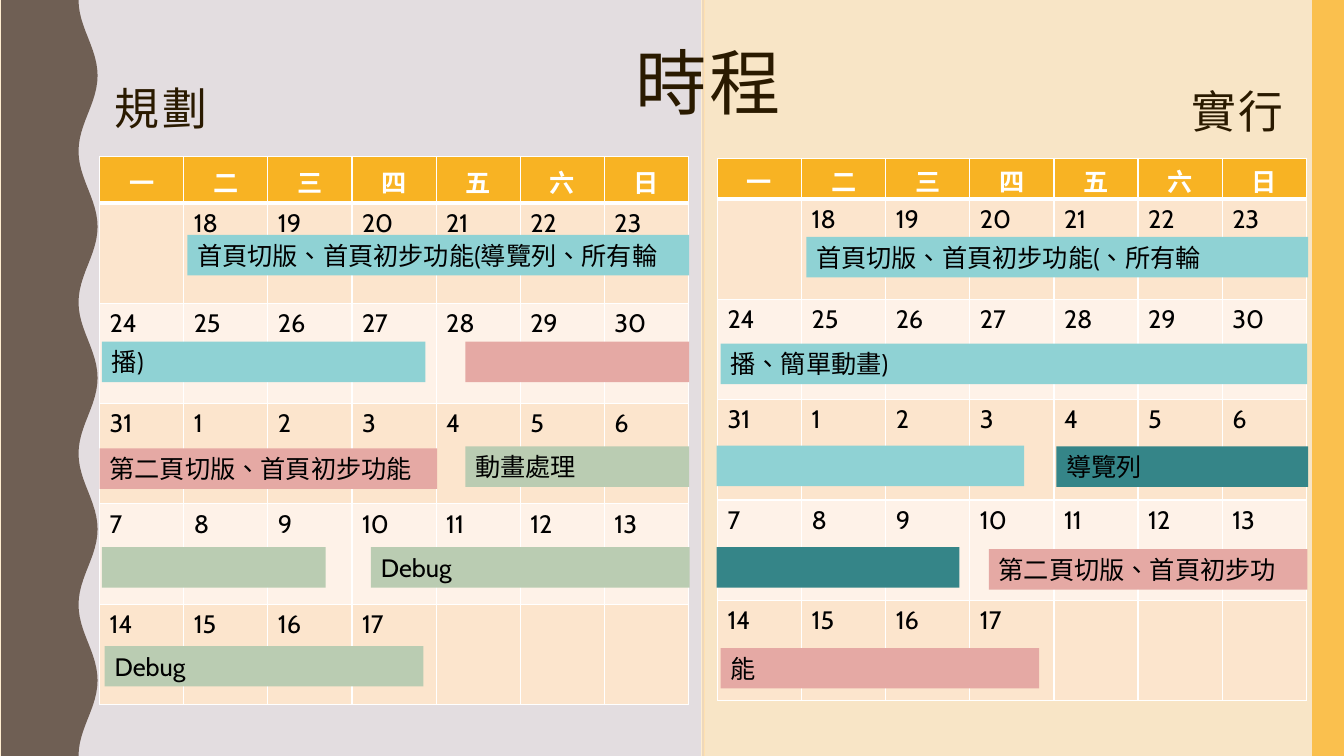
import math
from pptx import Presentation
from pptx import util as u
from pptx.dml.color import RGBColor
from pptx.enum import lang, shapes, text
from pptx.oxml import parse_xml
from pptx.oxml.ns import nsdecls

INK = RGBColor(0x2A, 0x1A, 0x00)
BLACK = RGBColor(0x00, 0x00, 0x00)
WHITE = RGBColor(0xFF, 0xFF, 0xFF)
PAPER = RGBColor(0xF3, 0xF3, 0xF2)
GOLD = RGBColor(0xF8, 0xB3, 0x23)
CREAM = RGBColor(0xFF, 0xED, 0xD0)
MAUVE = RGBColor(0xCF, 0xBF, 0xC9)
SAND = RGBColor(0xFF, 0xD2, 0x8A)
PEACH = RGBColor(0xFC, 0xE5, 0xCD)
PALE_PEACH = RGBColor(0xFE, 0xF2, 0xE8)
AQUA = RGBColor(0x8F, 0xD2, 0xD4)
TEAL = RGBColor(0x35, 0x85, 0x88)
ROSE = RGBColor(0xE5, 0xA9, 0xA4)
SAGE = RGBColor(0xBA, 0xCC, 0xB2)

WEEKDAYS = "一二三四五六日"
DAYS = [None, *range(18, 32), *range(1, 18), None, None, None]
DAY_WIDTH, WEEK_HEIGHT, BAR_HEIGHT = 2.12, 2.53, 1.02

# Task bars: left, top, width (cm), colour, label
PLANNED = [
    (4.72, 5.92, 12.65, AQUA, "首頁切版、首頁初步功能(導覽列、所有輪"),
    (2.57, 8.61, 8.15, AQUA, "播)"),
    (11.73, 8.61, 5.64, ROSE, ""),
    (2.51, 11.3, 8.51, ROSE, "第二頁切版、首頁初步功能"),
    (11.73, 11.25, 5.64, SAGE, "動畫處理"),
    (2.57, 13.79, 5.64, SAGE, ""),
    (9.35, 13.79, 8.03, SAGE, "Debug"),
    (2.64, 16.28, 8.03, SAGE, "Debug"),
]
ACTUAL = [
    (20.32, 5.97, 12.65, AQUA, "首頁切版、首頁初步功能(、所有輪"),
    (18.16, 8.66, 14.78, AQUA, "播、簡單動畫)"),
    (26.62, 11.25, 6.35, TEAL, "導覽列"),
    (24.92, 13.84, 8.03, ROSE, "第二頁切版、首頁初步功"),
    (18.16, 16.33, 8.03, ROSE, "能"),
    (18.06, 13.79, 6.12, TEAL, ""),
    (18.06, 11.23, 7.75, AQUA, ""),
]


def write(paragraph, words, size, colour, face="Cabin", bold=False):
    run = paragraph.add_run()
    run.text = words
    look = {"name": face, "size": u.Pt(size), "bold": bold,
            "language_id": lang.MSO_LANGUAGE_ID.TRADITIONAL_CHINESE}
    for key, value in look.items():
        setattr(run.font, key, value)
    run.font.color.rgb = colour
    return run


def paint(shape, colour, edge=None):
    shape.shadow.inherit = False
    shape.fill.solid()
    shape.fill.fore_color.rgb = colour
    if edge is None:
        shape.line.fill.background()
    else:
        shape.line.color.rgb = edge
        shape.line.width = u.Pt(1)


def add_block(slide, left, top, width, height, colour, edge=None):
    block = slide.shapes.add_shape(
        shapes.MSO_SHAPE.RECTANGLE, *map(u.Cm, (left, top, width, height)))
    paint(block, colour, edge)
    return block


def add_half(slide, left, top, width, height, colour):
    half = add_block(slide, left, top, width, height, colour, CREAM)
    tint = half.fill.fore_color._xFill[0]
    tint.append(parse_xml(f'<a:alpha {nsdecls("a")} val="42000"/>'))


def add_wave(slide):
    period, steps = 3.81, 120
    edge = []
    for step in range(steps + 1):
        y = 19.05 * step / steps
        x = 2.22 - 0.24 * math.cos(2 * math.pi * y / period)
        edge.append((u.Cm(x), u.Cm(y)))
    outline = slide.shapes.build_freeform(0, 0)
    outline.add_line_segments([*edge, (0, u.Cm(19.05))], close=True)
    paint(outline.convert_to_shape(), INK)


def set_heading(box, words, left, top, size):
    place = {"left": left, "top": top, "width": 4.55, "height": 2.31}
    for key, value in place.items():
        setattr(box, key, u.Cm(value))
    frame = box.text_frame
    frame.word_wrap = True
    frame.auto_size = text.MSO_AUTO_SIZE.NONE
    frame.vertical_anchor = text.MSO_ANCHOR.TOP
    line = frame.paragraphs[0]
    line.alignment = text.PP_ALIGN.LEFT
    line.line_spacing = 0.9
    face = "Noto Sans CJK SC"
    props = write(line, words, size, INK, face).font._element
    props.set("spc", "200")
    props.find("{*}latin").addnext(
        parse_xml(f'<a:ea {nsdecls("a")} typeface="{face}"/>'))


def set_cell(cell, words, is_header, colour):
    # Borders precede the fill in the cell properties
    props = cell._tc.get_or_add_tcPr()
    for side in "LRTB":
        width = u.Pt(3 if is_header and side == "B" else 1)
        props.append(parse_xml(
            f'<a:ln{side} {nsdecls("a")} w="{width}"><a:solidFill>'
            f'<a:srgbClr val="{WHITE}"/></a:solidFill></a:ln{side}>'))
    cell.fill.solid()
    cell.fill.fore_color.rgb = colour
    line = cell.text_frame.paragraphs[0]
    if is_header:
        cell.vertical_anchor = text.MSO_ANCHOR.MIDDLE
        cell.margin_top, cell.margin_bottom = u.Cm(0.1), 0
        line.alignment = text.PP_ALIGN.CENTER
    if words:
        write(line, words, 18, WHITE if is_header else BLACK, bold=is_header)


def add_calendar(slide, left, top, header_height):
    columns = len(WEEKDAYS)
    labels = [*WEEKDAYS, *(str(day or "") for day in DAYS)]
    weeks = len(labels) // columns
    calendar = slide.shapes.add_table(
        weeks, columns, u.Cm(left), u.Cm(top), u.Cm(columns * DAY_WIDTH),
        u.Cm(header_height + (weeks - 1) * WEEK_HEIGHT)).table
    for column in calendar.columns:
        column.width = u.Cm(DAY_WIDTH)
    for week, row in enumerate(calendar.rows):
        row.height = u.Cm(WEEK_HEIGHT if week else header_height)
        band = (PEACH if week % 2 else PALE_PEACH) if week else GOLD
        for day, cell in enumerate(row.cells):
            set_cell(cell, labels[week * columns + day], week == 0, band)


def add_task(slide, left, top, width, colour, label):
    task = add_block(slide, left, top, width, BAR_HEIGHT, colour)
    if label:
        frame = task.text_frame
        frame.word_wrap = True
        frame.auto_size = text.MSO_AUTO_SIZE.SHAPE_TO_FIT_TEXT
        frame.vertical_anchor = text.MSO_ANCHOR.TOP
        frame.paragraphs[0].alignment = text.PP_ALIGN.LEFT
        write(frame.paragraphs[0], label, 18, BLACK)


def main():
    deck = Presentation()
    deck.slide_width, deck.slide_height = u.Cm(33.87), u.Cm(19.05)
    slide = deck.slides.add_slide(deck.slide_layouts[5])
    slide.background.fill.solid()
    slide.background.fill.fore_color.rgb = PAPER

    # Backdrop
    add_wave(slide)
    add_block(slide, 33.07, 0, 0.8, 19.05, GOLD)
    add_half(slide, 0, -1.75, 17.75, 21.95, MAUVE)
    add_half(slide, 17.68, -1.19, 16.28, 20.73, SAND)

    # Title, lifted above the backdrop
    title = slide.shapes.title
    title.element.getparent().append(title.element)
    set_heading(title, "時程", 15.77, 1.07, 51)

    # Calendars with their task bars
    for left, top, header_height, tasks in (
            (2.51, 3.94, 1.17, PLANNED), (18.08, 3.99, 1.02, ACTUAL)):
        add_calendar(slide, left, top, header_height)
        for task in tasks:
            add_task(slide, *task)

    # Calendar headings
    for words, left, top in (("規劃", 2.64, 2.06), ("實行", 29.77, 2.13)):
        heading = slide.shapes.add_textbox(0, 0, 0, 0)
        set_heading(heading, words, left, top, 32)

    deck.save("out.pptx")


if __name__ == "__main__":
    main()
